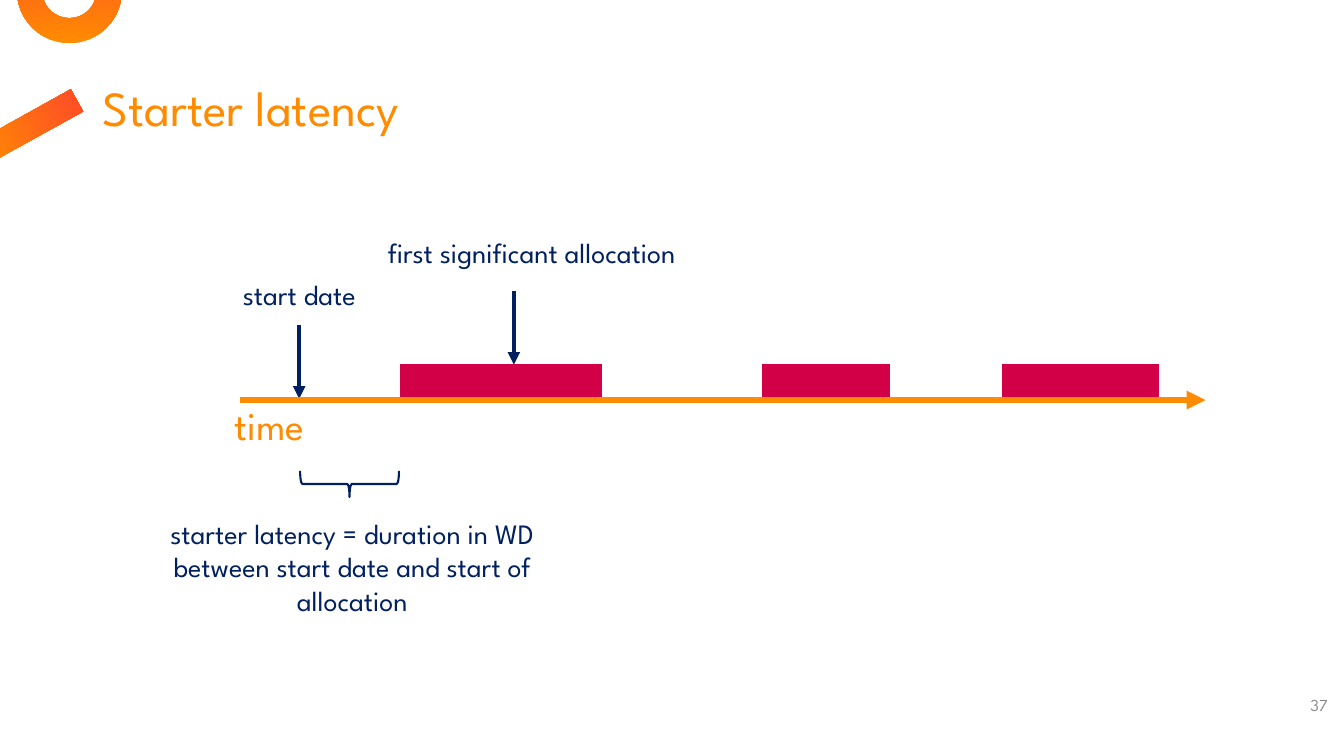
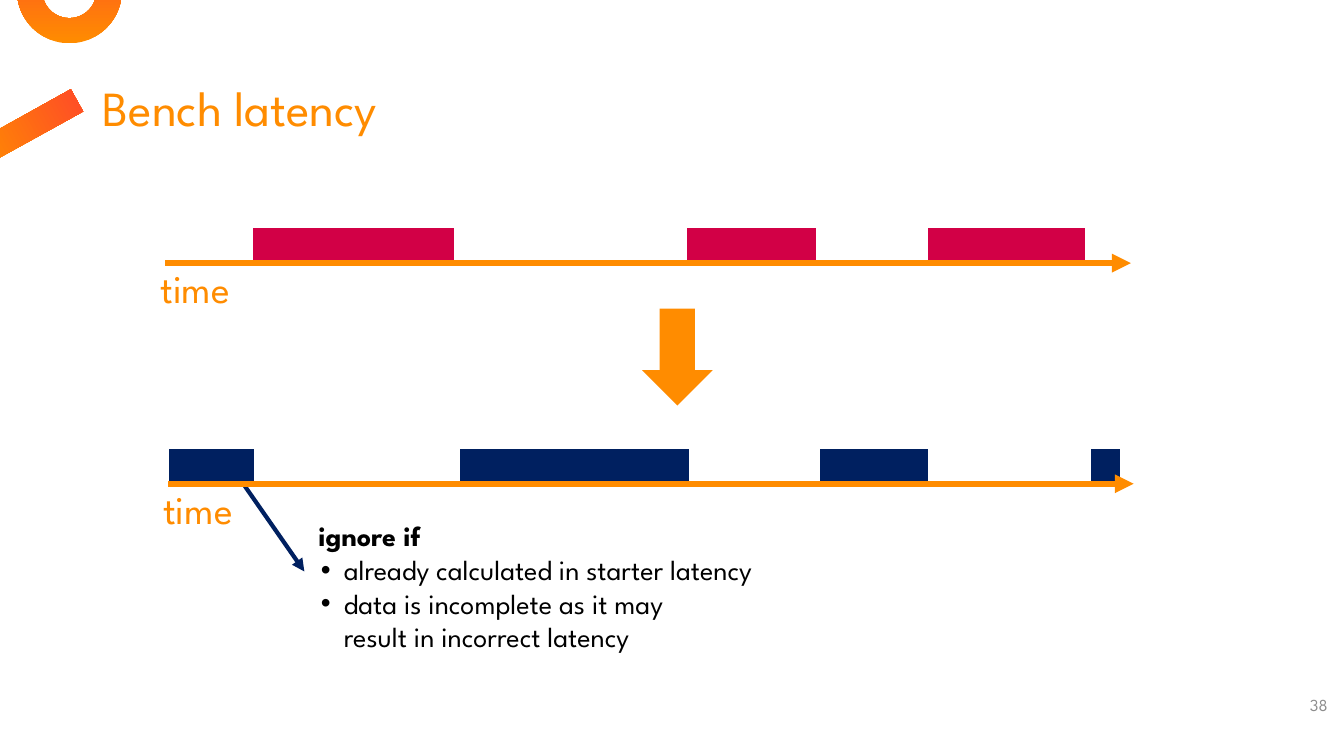
from copy import deepcopy
from dataclasses import dataclass

from lxml.etree import SubElement
from pptx import Presentation
from pptx.dml.color import RGBColor
from pptx.enum.shapes import MSO_CONNECTOR, MSO_SHAPE
from pptx.enum.text import MSO_ANCHOR, MSO_AUTO_SIZE, PP_ALIGN
from pptx.oxml.ns import qn
from pptx.util import Cm, Pt


@dataclass(frozen=True)
class Theme:
    font: str = "League Spartan"
    orange: str = "FF8C00"
    coral: str = "FF4B28"
    crimson: str = "D20046"
    navy: str = "002060"
    grey: str = "8C8C8C"
    black: str = "000000"
    white: str = "FFFFFF"
    title_size: int = 35
    axis_size: int = 28
    text_size: int = 20
    number_size: int = 12
    outline: float = 1.5
    pointer: float = 3
    axis: float = 4.5


THEME = Theme()
AXIS_LENGTH = 24.33
BLOCK_HEIGHT = 0.9
TITLE_AND_CONTENT, TITLE_ONLY = 1, 5
# Allocation blocks as (offset from the start of the axis, width)
LATER_ALLOCATIONS = [(13.13, 3.28), (19.18, 4.01)]


def rgb(color):
    return RGBColor.from_string(color)


def place(shape, box):
    shape.left, shape.top, shape.width, shape.height = map(Cm, box)


def set_bullet(paragraph, bullet):
    """Give the paragraph a hanging bullet, or remove the inherited one."""
    properties = paragraph._p.get_or_add_pPr()
    properties.set("marL", str(Cm(0.64) if bullet else 0))
    properties.set("indent", str(Cm(-0.58) if bullet else 0))
    if bullet:
        SubElement(properties, qn("a:buFont"), typeface="Arial")
        SubElement(properties, qn("a:buChar"), char="•")
    else:
        SubElement(properties, qn("a:buNone"))


def write(paragraph, text, *, size=THEME.text_size, color=THEME.navy, bold=False,
          align=PP_ALIGN.LEFT, line_spacing=1.0):
    paragraph.text = text
    paragraph.alignment = align
    paragraph.line_spacing = line_spacing
    paragraph.space_before = Pt(0)
    for run in paragraph.runs:
        run.font.name = THEME.font
        run.font.size = Pt(size)
        run.font.bold = bold
        run.font.color.rgb = rgb(color)
    for line_break in paragraph._p.findall(qn("a:br")):
        line_break.append(deepcopy(paragraph.runs[0]._r.rPr))


def add_text(slide, box, text, **text_format):
    shape = slide.shapes.add_textbox(*map(Cm, box))
    shape.text_frame.word_wrap = True
    write(shape.text_frame.paragraphs[0], text, **text_format)
    return shape


def add_shape(slide, kind, box, *, fill=None, line=None):
    shape = slide.shapes.add_shape(kind, *map(Cm, box))
    shape.shadow.inherit = False
    if fill:
        shape.fill.solid()
        shape.fill.fore_color.rgb = rgb(fill)
    else:
        shape.fill.background()
    if line:
        shape.line.color.rgb = rgb(line)
        shape.line.width = Pt(THEME.outline)
    else:
        shape.line.fill.background()
    return shape


def add_arrow(slide, start, end, *, color=THEME.navy, width=THEME.pointer):
    arrow = slide.shapes.add_connector(
        MSO_CONNECTOR.STRAIGHT, *map(Cm, (*start, *end)))
    arrow.line.color.rgb = rgb(color)
    arrow.line.width = Pt(width)
    SubElement(arrow.line._get_or_add_ln(), qn("a:tailEnd"), type="triangle")
    SubElement(arrow.element.spPr, qn("a:effectLst"))


def add_blocks(slide, left, base, blocks, color):
    for offset, width in blocks:
        box = (left + offset, base - BLOCK_HEIGHT, width, BLOCK_HEIGHT)
        add_shape(slide, MSO_SHAPE.RECTANGLE, box, fill=color, line=THEME.white)


def add_time_axis(slide, left, top):
    add_arrow(slide, (left, top), (left + AXIS_LENGTH, top),
              color=THEME.orange, width=THEME.axis)
    add_text(slide, (left - 0.38, top - 0.09, 2.9, 1.45), "time",
             size=THEME.axis_size, color=THEME.orange)


def add_list(placeholder, box, heading, items):
    place(placeholder, box)
    frame = placeholder.text_frame
    frame.auto_size = MSO_AUTO_SIZE.NONE
    for index, text in enumerate([heading, *items]):
        paragraph = frame.add_paragraph() if index else frame.paragraphs[0]
        set_bullet(paragraph, bullet=index > 0)
        write(paragraph, text, color=THEME.black, bold=index == 0)


def decorate_master(master, slide):
    """Set the title box and move the ring and bar, drawn on slide, to the master."""
    place(master.placeholders[0], (2.34, 1.35, 29.21, 2.24))
    ring = add_shape(slide, MSO_SHAPE.DONUT, (0.43, -1.55, 2.64, 2.64))
    ring.adjustments[0] = 0.24
    bar = add_shape(slide, MSO_SHAPE.RECTANGLE, (0.43, 1.83, 0.64, 2.72))
    bar.rotation = 61
    for number, shape in enumerate((ring, bar), start=101):
        shape.fill.gradient()
        shape.fill.gradient_angle = 90
        for stop, color in zip(shape.fill.gradient_stops, (THEME.orange, THEME.coral)):
            stop.color.rgb = rgb(color)
        shape.element.nvSpPr.cNvPr.set("id", str(number))
        master.shapes.element.insert(2, shape.element)


def add_slide(presentation, layout, title, number):
    slide = presentation.slides.add_slide(presentation.slide_layouts[layout])
    frame = slide.shapes.title.text_frame
    frame.auto_size = MSO_AUTO_SIZE.NONE
    frame.vertical_anchor = MSO_ANCHOR.BOTTOM
    write(frame.paragraphs[0], title, size=THEME.title_size, color=THEME.orange,
          line_spacing=0.9)
    number_box = add_text(slide, (29.24, 17.25, 4.22, 1.02), str(number),
                          size=THEME.number_size, color=THEME.grey,
                          align=PP_ALIGN.RIGHT)
    number_box.text_frame.margin_right = 0
    number_box.text_frame.vertical_anchor = MSO_ANCHOR.MIDDLE
    return slide


def add_starter_latency(presentation):
    slide = add_slide(presentation, TITLE_ONLY, "Starter latency", 37)
    left, top = 6.05, 10.08
    add_blocks(slide, left, top - 0.04, [(4.01, 5.13), *LATER_ALLOCATIONS],
               THEME.crimson)
    pointers = [
        ("start date", (4.98, 6.88, 5.13, 1.12), (7.54, 8.2)),
        ("first significant allocation", (8.59, 5.82, 9.63, 1.12), (12.95, 7.34)),
    ]
    for text, box, (x, y) in pointers:
        add_arrow(slide, (x, y), (x, y + 1.85))
        add_text(slide, box, text, align=PP_ALIGN.CENTER)
    add_text(slide, (3.71, 12.88, 10.34, 2.82),
             "starter latency = duration in WD between start date and start of allocation",
             align=PP_ALIGN.CENTER)
    brace = add_shape(slide, MSO_SHAPE.LEFT_BRACE, (8.48, 10.95, 0.66, 2.49),
                      line=THEME.navy)
    brace.rotation = 270
    add_time_axis(slide, left, top)
    return slide


def add_bench_latency(presentation):
    slide = add_slide(presentation, TITLE_AND_CONTENT, "Bench latency", 38)
    allocated, bench = (4.17, 6.63), (4.24, 12.19)
    add_blocks(slide, *allocated, [(2.18, 5.13), *LATER_ALLOCATIONS], THEME.crimson)
    add_shape(slide, MSO_SHAPE.DOWN_ARROW, (16.18, 7.78, 1.78, 2.44),
              fill=THEME.orange)
    add_blocks(slide, *bench,
               [(0, 2.18), (7.32, 5.82), (16.41, 2.77), (23.22, 0.79)], THEME.navy)
    add_arrow(slide, (6.15, 12.22), (7.67, 14.4))
    add_list(slide.placeholders[1], (7.77, 12.95, 24.33, 3.68), "ignore if", [
        "already calculated in starter latency",
        "data is incomplete as it may\vresult in incorrect latency",
    ])
    for left, top in (allocated, bench):
        add_time_axis(slide, left, top)


def main():
    presentation = Presentation()
    presentation.slide_width, presentation.slide_height = Cm(33.87), Cm(19.05)
    first_slide = add_starter_latency(presentation)
    add_bench_latency(presentation)
    decorate_master(presentation.slide_master, first_slide)
    presentation.save("out.pptx")


if __name__ == "__main__":
    main()
